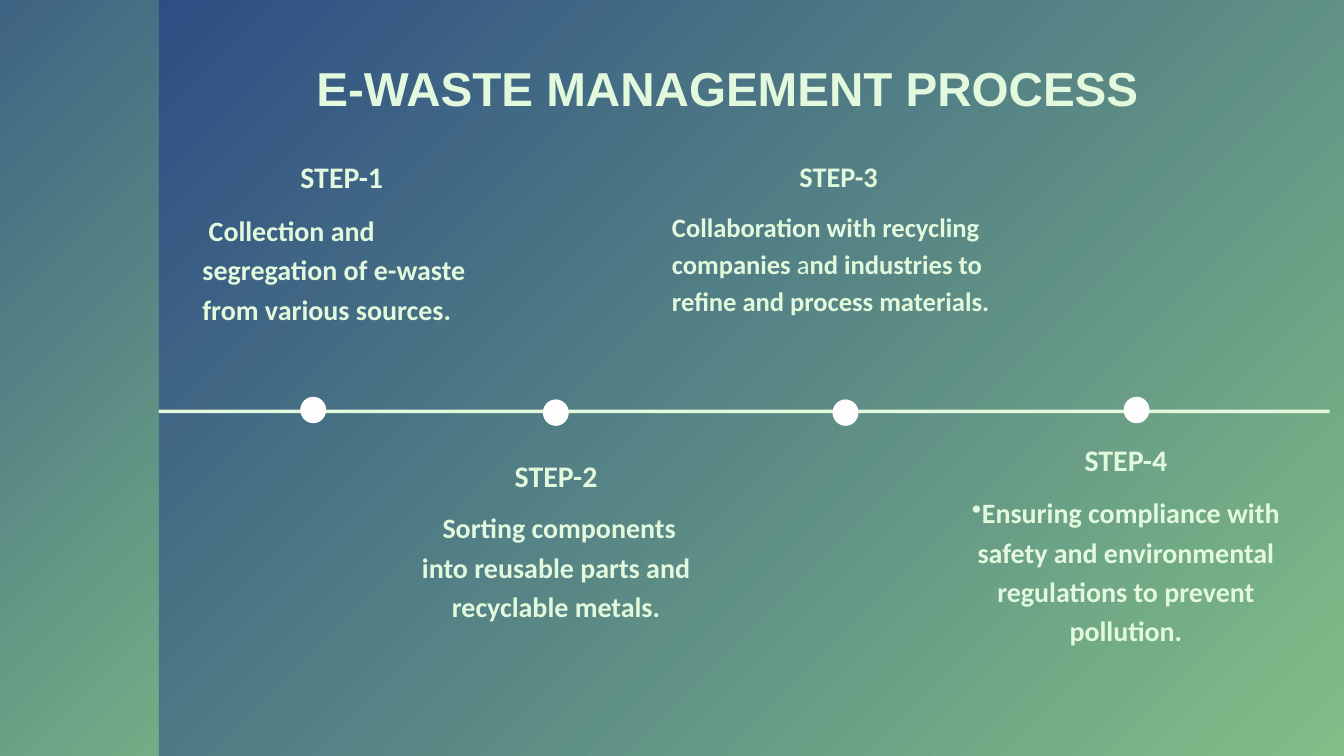
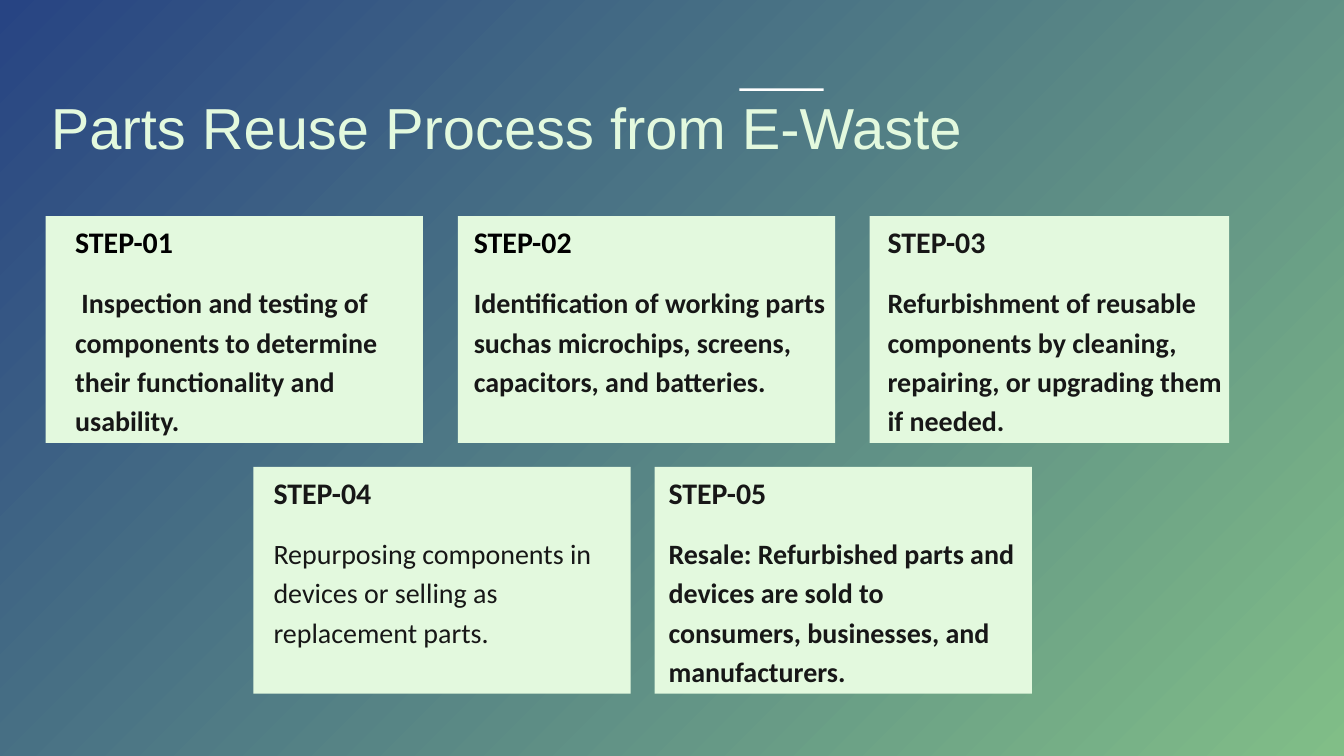
"""Builds two slides on handling e-waste: a timeline and a grid of cards."""
from pptx import Presentation
from pptx import util as u
from pptx.dml.color import RGBColor
from pptx.enum import shapes, text
from pptx.oxml import ns, xmlchemy

HUES = {"blue": "274483", "green": "81BE87", "mint": "E3F9DE",
        "dot": "FDFDFD", "white": "FFFFFF", "ink": "171717", "black": "000000"}
LEFT, MID = text.PP_ALIGN.LEFT, text.PP_ALIGN.CENTER
RECT, OVAL = shapes.MSO_SHAPE.RECTANGLE, shapes.MSO_SHAPE.OVAL


def block(slide, kind, box, hue):
    """Draws a plain filled shape."""
    shape = slide.shapes.add_shape(kind, *map(u.Cm, box))
    shape.shadow.inherit = False
    shape.line.fill.background()
    shape.fill.solid()
    shape.fill.fore_color.rgb = RGBColor.from_string(HUES[hue])
    return shape


def write(slide, box, words, size, lead, hue="mint", align=LEFT, bold=True, font="Calibri"):
    """Writes one paragraph; parts between bars are not bold."""
    frame = slide.shapes.add_textbox(*map(u.Cm, box)).text_frame
    frame.word_wrap = True
    frame.auto_size = text.MSO_AUTO_SIZE.SHAPE_TO_FIT_TEXT
    frame.margin_left = frame.margin_top = frame.margin_right = frame.margin_bottom = 0
    para = frame.paragraphs[0]
    para.alignment = align
    para.line_spacing = u.Pt(size * lead)
    if words.startswith("•"):
        props = para._p.get_or_add_pPr()
        props.set("marL", "0")
        props.set("indent", "0")
        mark = xmlchemy.OxmlElement("a:buChar")
        mark.set("char", "•")
        props.append(mark)
    para.font.name, para.font.size, para.font.bold = font, u.Pt(size), bold
    para.font.color.rgb = RGBColor.from_string(HUES[hue])
    for spot, part in enumerate(words.lstrip("•").split("|")):
        run = para.add_run()
        run.text = part
        if spot % 2:
            run.font.bold = False


deck = Presentation()
deck.slide_width, deck.slide_height = u.Cm(50.8), u.Cm(28.58)
flow, reuse = [deck.slides.add_slide(deck.slide_layouts[6]) for _ in range(2)]

block(flow, RECT, (5.99, 15.49, 44.27, 0.13), "mint")
for left, top in ((11.35, 15), (31.47, 15.1), (42.47, 15), (20.52, 15.1)):
    block(flow, OVAL, (left, top, 0.98, 1), "dot")

STEPS = [
    (7.65, 5.99, 7.87, 10.54, 32, 30, LEFT,
     " Collection and segregation of e-waste from various sources."),
    (15.75, 17.3, 19.1, 10.54, 32, 30, MID,
     " Sorting components into reusable parts and recyclable metals."),
    (25.4, 6.02, 7.77, 12.6, 30.4, 28.5, LEFT,
     "Collaboration with recycling companies |a|nd industries to refine and process materials."),
    (36.4, 16.71, 18.54, 12.32, 32, 30, MID,
     "•Ensuring compliance with safety and environmental regulations to prevent pollution."),
]
for num, (left, top, low, wide, big, small, align, words) in enumerate(STEPS, 1):
    write(flow, (left, top, wide, 1.35), f"STEP-{num}", big, 1.2, align=MID)
    write(flow, (left, low, wide, 5.84), words, small, 1.4, align=align)
write(flow, (11.53, 2.24, 31.95, 2.13), "E-WASTE MANAGEMENT PROCESS", 51, 1.2,
      align=MID, font="Arial")
panel = block(flow, RECT, (-18.29, 0, 24.28, 28.58), "blue")

block(reuse, RECT, (27.95, 3.34, 3.18, 0.1), "white")
write(reuse, (1.73, 3.02, 34.85, 2.92), "Parts Reuse Process from E-Waste", 62, 1.4,
      align=MID, bold=False, font="Arial")

CARDS = [
    (1.73, 8.17, 14.26, 2.84, 13.13, "black", True,
     " Inspection and testing of components to determine their functionality and usability."),
    (17.31, 8.17, 14.26, 17.91, 13.67, "black", True,
     "Identification of working parts suchas microchips, screens, capacitors, and batteries."),
    (32.87, 8.17, 13.59, 33.55, 12.9, "ink", True,
     "Refurbishment of reusable components by cleaning, repairing, or upgrading them if needed."),
    (9.58, 17.65, 14.26, 10.34, 12.65, "ink", False,
     "Repurposing components in devices or selling as replacement parts."),
    (24.74, 17.65, 14.26, 25.27, 13.18, "ink", True,
     "Resale: Refurbished parts and devices are sold to consumers, businesses, and manufacturers."),
]
for num, (left, top, wide, start, span, hue, bold, words) in enumerate(CARDS, 1):
    block(reuse, RECT, (left, top, wide, 8.57), "mint")
    write(reuse, (start, top + 0.3, span, 1.37), f"STEP-{num:02}", 32, 1.2, hue)
    write(reuse, (start, top + 2.43, span, 7.34), words, 30, 1.4, "ink", bold=bold)

for fill in (flow.background.fill, reuse.background.fill, panel.fill):
    fill.gradient()
    fill.gradient_angle = 315
    for stop, hue in zip(fill.gradient_stops, ("blue", "green")):
        stop.color.rgb = RGBColor.from_string(HUES[hue])
for tint in panel._element.spPr.iter(ns.qn("a:srgbClr")):
    alpha = xmlchemy.OxmlElement("a:alpha")
    alpha.set("val", "75000")
    tint.append(alpha)

deck.save("out.pptx")
